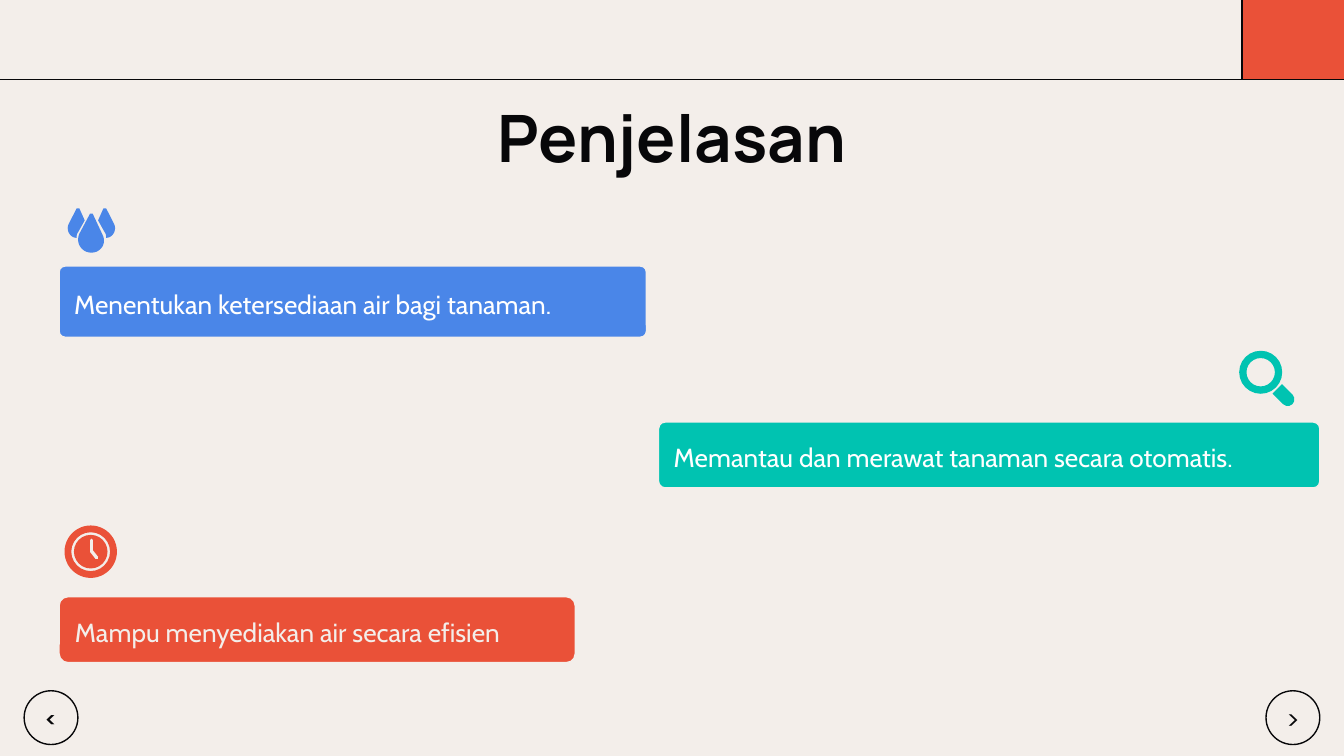
from lxml import etree
from pptx import Presentation
from pptx import util as u
from pptx.dml.color import RGBColor
from pptx.enum import shapes, text
from pptx.oxml.ns import qn

THEME = {
    "paper": "F3EEEA", "ink": "070709", "white": "FFFFFF",
    "blue": "4A86E8", "red": "EA5138", "teal": "00C3B1",
    "heading": "Manrope", "body": "Cabin",
    "title_size": 35, "body_size": 14, "border": 0.75,
}

# Content: wording, place in inches, fill, text colour, corner radius ratio
TITLE = "Penjelasan"
BANNERS = [
    ("Menentukan ketersediaan air bagi tanaman.", (0.44, 1.98, 4.37, 0.53), "blue", "white", 0.085),
    ("Mampu menyediakan air secara efisien", (0.44, 4.44, 3.84, 0.49), "red", "paper", 0.134),
    ("Memantau dan merawat tanaman secara otomatis.", (4.9, 3.14, 4.92, 0.49), "teal", "white", 0.1),
]
# Symbol, left edge, type size, bold
BUTTONS = [("<", 0.18, 12, True), (">", 9.42, 15, False)]

# Drop outlines: a pair is a corner, three pairs are a Bezier curve
DROP_AXIS = 0.68
FRONT_DROP = [
    (0.67, 1.59), (0.59, 1.74),
    ((0.56, 1.81), (0.61, 1.88), (0.68, 1.88)),
    ((0.75, 1.88), (0.8, 1.81), (0.76, 1.74)),
    (0.69, 1.59),
]
SIDE_DROP = [
    (0.77, 1.55), (0.73, 1.64), (0.78, 1.73),
    ((0.79, 1.74), (0.79, 1.76), (0.79, 1.77)),
    ((0.84, 1.77), (0.87, 1.71), (0.85, 1.67)),
    (0.79, 1.55),
]

deck = Presentation()
deck.slide_width = u.Inches(10)
deck.slide_height = deck.slide_width * 9 // 16
slide = deck.slides.add_slide(deck.slide_layouts[6])


def colour(name):
    return RGBColor.from_string(THEME[name])


slide.background.fill.solid()
slide.background.fill.fore_color.rgb = colour("paper")


def paint(shape, fill=None, line=None):
    shape.shadow.inherit = False
    if fill:
        shape.fill.solid()
        shape.fill.fore_color.rgb = colour(fill)
    else:
        shape.fill.background()
    if line:
        shape.line.color.rgb = colour(line)
        shape.line.width = u.Pt(THEME["border"])
    else:
        shape.line.fill.background()
    return shape


def add_shape(kind, place, fill=None, line=None, adjust=None):
    shape = slide.shapes.add_shape(kind, *map(u.Inches, place))
    if adjust is not None:
        shape.adjustments[0] = adjust
    return paint(shape, fill, line)


def add_line(start, end, line, width):
    rule = slide.shapes.add_connector(shapes.MSO_CONNECTOR.STRAIGHT, *map(u.Inches, start + end))
    rule.line.color.rgb = colour(line)
    rule.line.width = u.Pt(width)
    etree.SubElement(rule._element.spPr, qn("a:effectLst"))
    return rule


def write(box, wording, font, size, ink, bold=False, align=text.PP_ALIGN.CENTER,
          anchor=text.MSO_ANCHOR.MIDDLE, spacing=None):
    frame = box.text_frame
    frame.word_wrap = True
    frame.vertical_anchor = anchor
    frame.margin_left = frame.margin_right = u.Inches(0.1)
    frame.margin_top = frame.margin_bottom = u.Inches(0.1)
    para = frame.paragraphs[0]
    para.text = wording
    para.alignment = align
    if spacing:
        para.line_spacing = spacing
    para.font.name, para.font.size, para.font.bold = THEME[font], u.Pt(size), bold
    para.font.color.rgb = colour(ink)


def trace(outline, steps=10):
    points = []
    for part in outline:
        if not isinstance(part[0], tuple):
            points.append(part)
            continue
        corners = (points[-1],) + part
        for step in range(1, steps + 1):
            t = step / steps
            weights = ((1 - t) ** 3, 3 * t * (1 - t) ** 2, 3 * t * t * (1 - t), t ** 3)
            points.append(tuple(sum(w * c[axis] for w, c in zip(weights, corners)) for axis in (0, 1)))
    return points


def add_drop(points):
    start, *rest = [(u.Inches(x), u.Inches(y)) for x, y in points]
    builder = slide.shapes.build_freeform(*start, scale=1.0)
    builder.add_line_segments(rest, close=True)
    paint(builder.convert_to_shape(), "blue")


# Header rule and corner block
add_line((-0.01, 0.59), (10.01, 0.59), "ink", THEME["border"])
add_shape(shapes.MSO_SHAPE.RECTANGLE, (9.24, -0.2, 0.79, 0.79), "red", "ink")

# Title
title = slide.shapes.add_textbox(*map(u.Inches, (0.78, 0.62, 8.44, 0.63)))
write(title, TITLE, "heading", THEME["title_size"], "ink", True, anchor=text.MSO_ANCHOR.TOP)

# Navigation buttons
for symbol, left, size, bold in BUTTONS:
    button = add_shape(shapes.MSO_SHAPE.OVAL, (left, 5.14, 0.4, 0.4), line="ink")
    write(button, symbol, "body", size, "ink", bold)

# Banners
for wording, place, fill, ink, radius in BANNERS:
    banner = add_shape(shapes.MSO_SHAPE.ROUNDED_RECTANGLE, place, fill, "paper", radius)
    write(banner, wording, "body", THEME["body_size"], ink, align=text.PP_ALIGN.LEFT, spacing=1.15)

# Water drops: the left one mirrors the right one
right_drop = trace(SIDE_DROP)
add_drop(trace(FRONT_DROP))
add_drop(right_drop)
add_drop([(2 * DROP_AXIS - x, y) for x, y in right_drop])

# Clock
add_shape(shapes.MSO_SHAPE.DONUT, (0.48, 3.91, 0.39, 0.39), "red", adjust=0.13)
add_shape(shapes.MSO_SHAPE.OVAL, (0.55, 3.98, 0.25, 0.25), "red")
for tip in [(0.68, 4.02), (0.72, 4.15)]:
    hand = add_line((0.68, 4.1), tip, "paper", 1.75)
    hand._element.spPr.find(qn("a:ln")).set("cap", "rnd")

# Magnifier
add_shape(shapes.MSO_SHAPE.DONUT, (9.22, 2.61, 0.32, 0.32), "teal", adjust=0.17)
handle = add_shape(shapes.MSO_SHAPE.ROUND_2_SAME_RECTANGLE, (9.51, 2.87, 0.1, 0.16), "teal", adjust=0.5)
handle.rotation = 135

deck.save("out.pptx")
